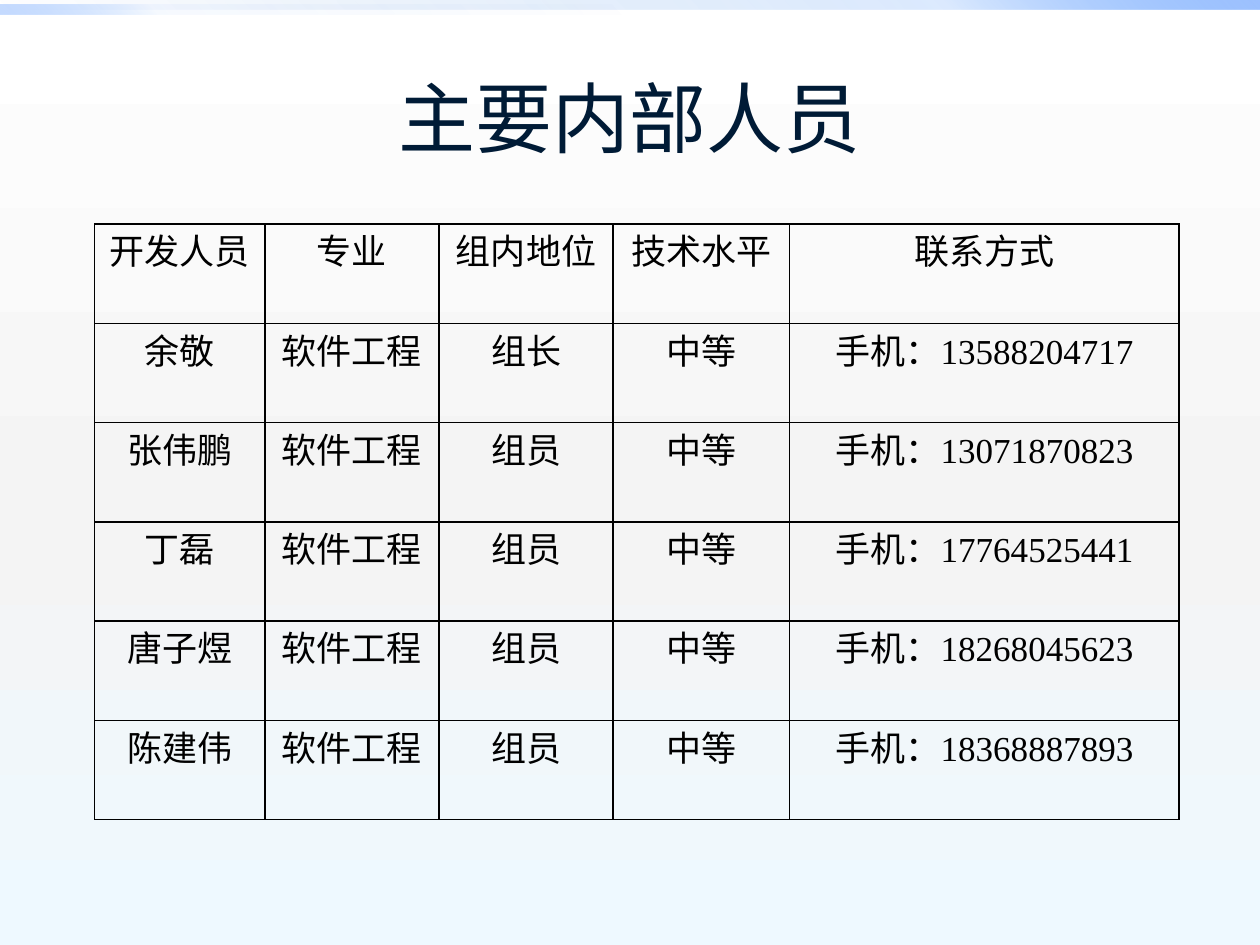
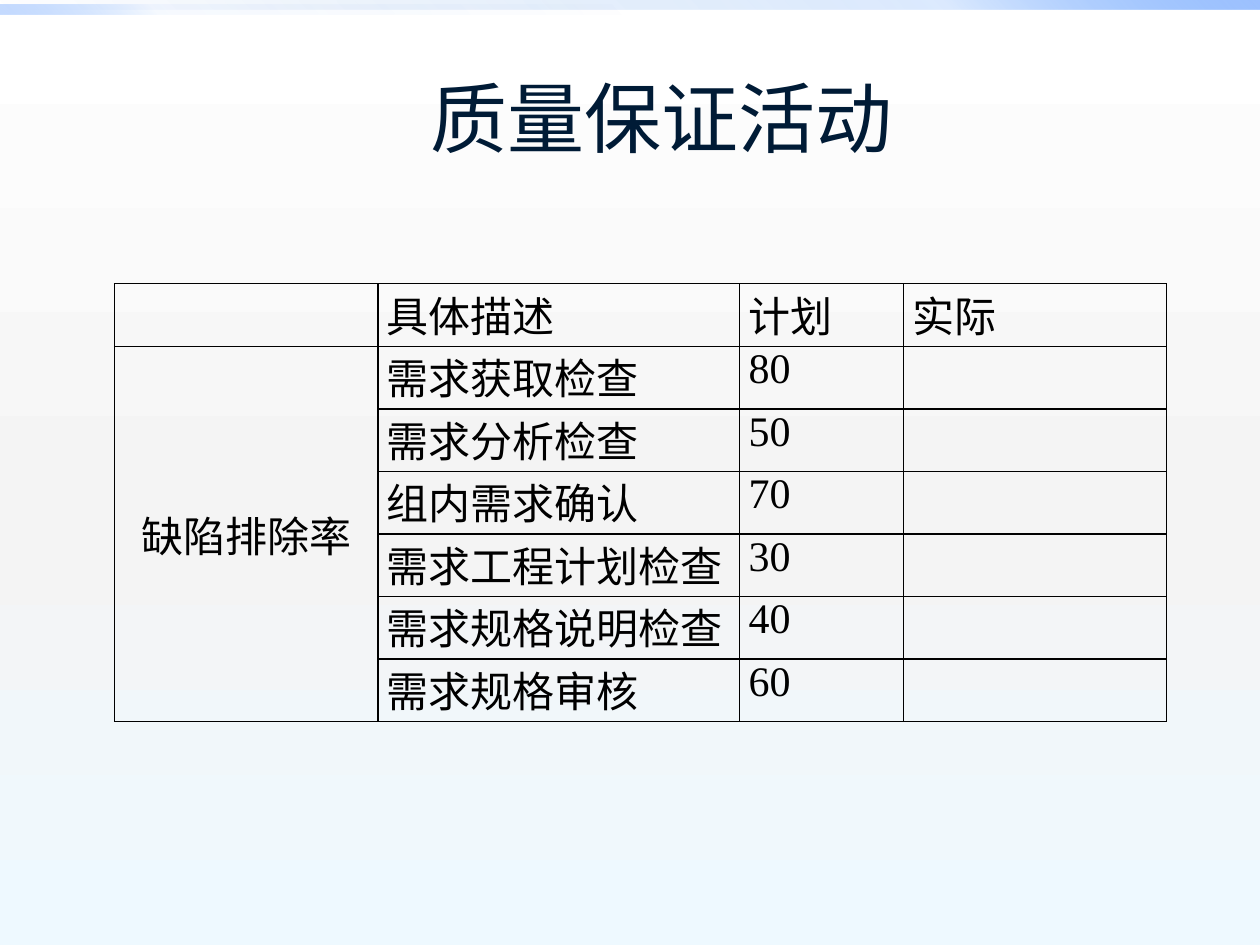
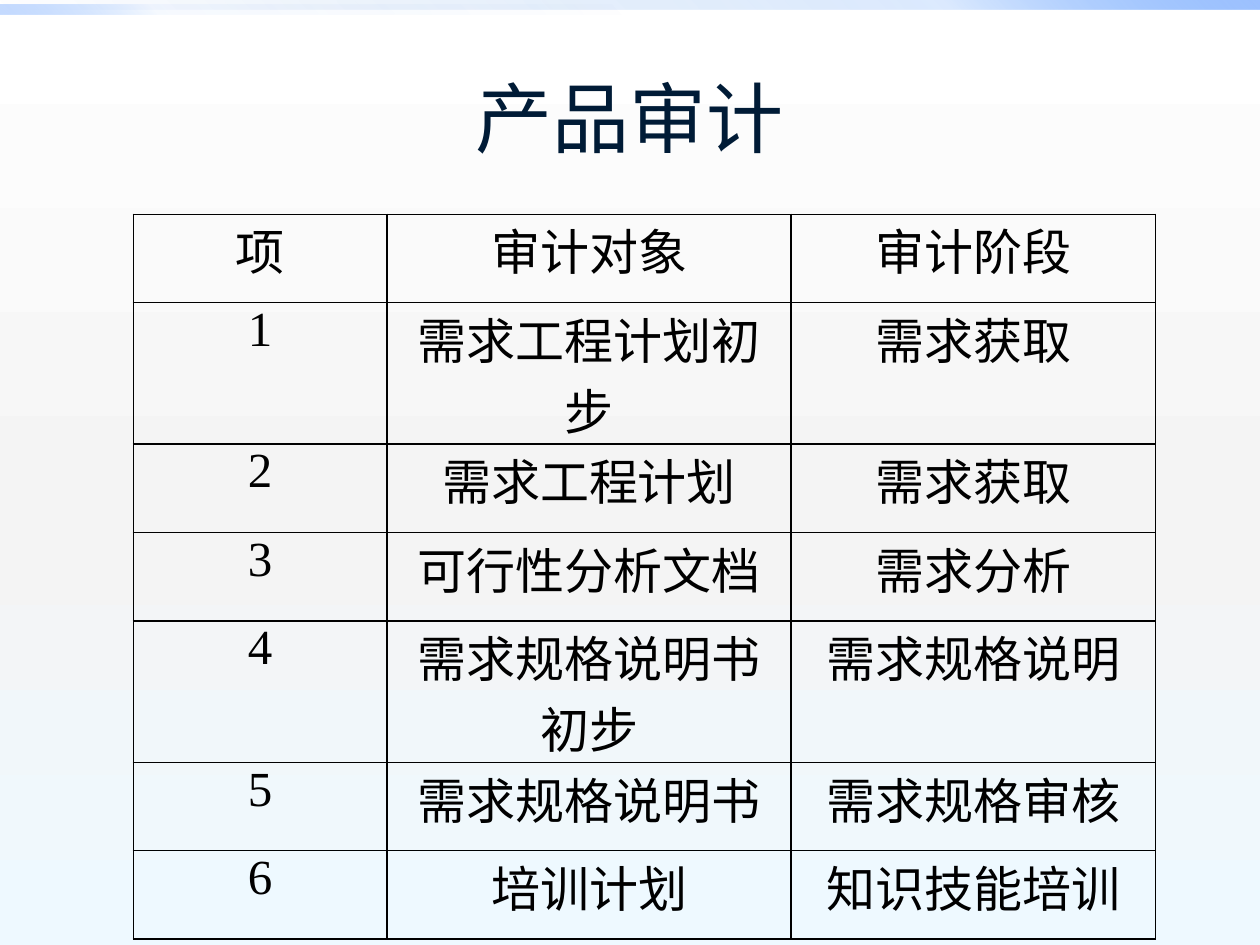
from dataclasses import dataclass

from lxml.etree import SubElement as Sub
from pptx import Presentation
from pptx.dml.color import RGBColor as Rgb
from pptx.enum.shapes import MSO_SHAPE as Shape
from pptx.enum.text import MSO_ANCHOR as Anchor, PP_ALIGN as Align
from pptx.oxml.ns import qn
from pptx.util import Cm, Pt


@dataclass(frozen=True)
class Theme:
    """Colours, fonts and sizes; a stop is (place, colour, opacity)."""
    title: str = "001B36"
    ink: str = "000000"
    head: str = "Arial"
    body: str = "Times New Roman"
    big: int = 44
    small: int = 20
    mid: int = 24
    large: int = 28
    line: int = 1
    back: tuple = ((0, "FFFFFF", 100), (55, "F4F4F4", 100), (100, "EEF9FF", 100))
    right: tuple = ((0, "0058B7", 0), (75, "4F95FF", 20), (100, "9EC2FF", 100))
    left: tuple = ((0, "0058B7", 0), (75, "4F95FF", 5), (100, "9EC2FF", 60))


def solid(root, color):
    fill = Sub(root, qn("a:solidFill"))
    Sub(fill, qn("a:srgbClr"), val=color)


def blend(root, stops, angle):
    """Swap the solid fill below root for a gradient."""
    old = root.find(qn("a:solidFill"))
    grad = Sub(root, qn("a:gradFill"), rotWithShape="1")
    root.replace(old, grad)
    items = Sub(grad, qn("a:gsLst"))
    for place, color, alpha in stops:
        stop = Sub(items, qn("a:gs"), pos=str(place * 1000))
        tone = Sub(stop, qn("a:srgbClr"), val=color)
        Sub(tone, qn("a:alpha"), val=str(alpha * 1000))
    Sub(grad, qn("a:lin"), ang=str(angle * 60000), scaled="0")


class Deck:
    def __init__(self, theme):
        self.theme = theme
        self.show = Presentation()
        self.show.slide_width, self.show.slide_height = Cm(25.4), Cm(19.05)
        self.slide = None

    def page(self, title):
        first = self.slide is None
        self.slide = self.show.slides.add_slide(self.show.slide_layouts[5])
        if first:
            self.dress()
        self.title(title)

    def dress(self):
        """Give the master its background and top bands."""
        master = self.show.slide_master
        master.background.fill.solid()
        blend(master.element.find(".//" + qn("p:bgPr")), self.theme.back, 90)
        self.band(0, 25.4, self.theme.right, 315, 0)
        self.band(0.1, 12.7, self.theme.left, 135, 1)

    def band(self, top, width, stops, angle, rank):
        bar = self.slide.shapes.add_shape(
            Shape.RECTANGLE, 0, Cm(top), Cm(width), Cm(0.2))
        bar.shadow.inherit = False
        bar.line.fill.background()
        bar.fill.solid()
        node = bar.element
        blend(node.spPr, stops, angle)
        node.nvSpPr.cNvPr.set("id", str(20 + rank))
        self.show.slide_master.element.cSld.spTree.insert(2 + rank, node)

    def style(self, para, align, font, size, color):
        para.alignment = align
        for run in para.runs:
            run.font.name = font
            run.font.size = Pt(size)
            run.font.color.rgb = Rgb.from_string(color)

    def title(self, text):
        box = self.slide.shapes.title
        box.left, box.top = Cm(1.27), Cm(0.76)
        box.width, box.height = Cm(22.86), Cm(3.18)
        frame = box.text_frame
        frame.text = text
        frame.vertical_anchor = Anchor.MIDDLE
        look = self.theme
        self.style(frame.paragraphs[0], Align.CENTER, look.head, look.big, look.title)

    def table(self, rows, left, top, cols, height, size, align=Align.CENTER):
        grid = self.slide.shapes.add_table(
            len(rows), len(cols), Cm(left), Cm(top),
            Cm(sum(cols)), Cm(height * len(rows))).table
        grid.first_row = grid.horz_banding = False
        for col, width in zip(grid.columns, cols):
            col.width = Cm(width)
        for row, texts in zip(grid.rows, rows):
            row.height = Cm(height)
            for cell, text in zip(row.cells, texts):
                self.cell(cell, text, size, align)
        return grid

    def cell(self, cell, text, size, align):
        cell.margin_left = cell.margin_right = Cm(0.18)
        cell.margin_top = cell.margin_bottom = 0
        cell.fill.background()
        cell.text = text
        look = self.theme
        self.style(cell.text_frame.paragraphs[0], align, look.body, size, look.ink)
        # Borders come before the fill
        props = cell._tc.get_or_add_tcPr()
        for rank, side in enumerate("LRTB"):
            edge = Sub(props, qn("a:ln" + side), w=str(Pt(look.line)))
            solid(edge, look.ink)
            props.insert(rank, edge)


def main():
    theme = Theme()
    deck = Deck(theme)

    # Team members
    team = [("余敬", "组长", "13588204717"), ("张伟鹏", "组员", "13071870823"),
            ("丁磊", "组员", "17764525441"), ("唐子煜", "组员", "18268045623"),
            ("陈建伟", "组员", "18368887893")]
    rows = [("开发人员", "专业", "组内地位", "技术水平", "联系方式")]
    rows += [(name, "软件工程", role, "中等", f"手机：{phone}")
             for name, role, phone in team]
    deck.page("主要内部人员")
    deck.table(rows, 1.91, 4.52, (3.43, 3.51, 3.51, 3.56, 7.85), 2, theme.small)

    # Quality checks
    checks = [("需求获取检查", "80"), ("需求分析检查", "50"),
              ("组内需求确认", "70"), ("需求工程计划检查", "30"),
              ("需求规格说明检查", "40"), ("需求规格审核", "60")]
    rows = [("", "具体描述", "计划", "实际")]
    rows += [("", check, plan, "") for check, plan in checks]
    deck.page("\t质量保证活动")
    grid = deck.table(rows, 2.31, 5.72, (5.31, 7.29, 3.3, 5.31), 1.26,
                      theme.mid, Align.JUSTIFY)
    rate = grid.cell(1, 0)
    rate.merge(grid.cell(len(checks), 0))
    rate.text = "缺陷排除率"
    rate.vertical_anchor = Anchor.MIDDLE
    deck.style(rate.text_frame.paragraphs[0], Align.CENTER,
               theme.body, theme.mid, theme.ink)

    # Product audits
    audits = [("需求工程计划初步", "需求获取"), ("需求工程计划", "需求获取"),
              ("可行性分析文档", "需求分析"), ("需求规格说明书初步", "需求规格说明"),
              ("需求规格说明书", "需求规格审核"), ("培训计划", "知识技能培训")]
    rows = [("项", "审计对象", "审计阶段")]
    rows += [(str(rank), *audit) for rank, audit in enumerate(audits, 1)]
    deck.page("产品审计")
    deck.table(rows, 2.69, 4.32, (5.11, 8.15, 7.34), 1.78, theme.large)

    deck.show.save("out.pptx")


if __name__ == "__main__":
    main()
